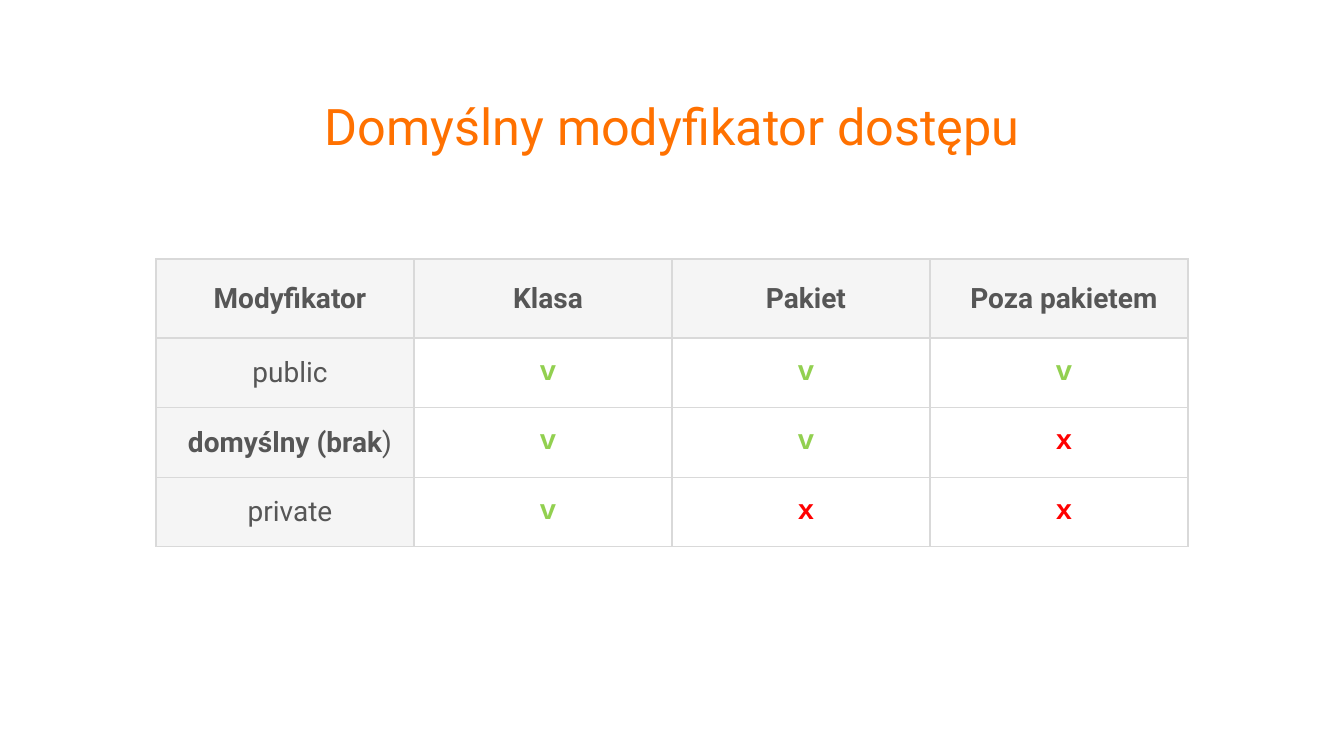
import lxml.etree
import pptx
import pptx.dml.color
import pptx.enum.text
import pptx.oxml.ns
import pptx.util

RGBColor = pptx.dml.color.RGBColor
ORANGE = RGBColor(0xFF, 0x71, 0x00)
DARK_GRAY = RGBColor(0x56, 0x56, 0x56)
LIGHT_GRAY = RGBColor(0xF5, 0xF5, 0xF5)
BORDER_GRAY = RGBColor(0xD9, 0xD9, 0xD9)
WHITE = RGBColor(0xFF, 0xFF, 0xFF)
GREEN = RGBColor(0x92, 0xD0, 0x50)
RED = RGBColor(0xFF, 0x00, 0x00)

MARK_COLORS = {"v": GREEN, "x": RED}
HEADINGS = ["Modyfikator", "Klasa", "Pakiet", "Poza pakietem"]
MODIFIERS = [
    ([("public", False)], "vvv"),
    ([("domyślny (brak", True), (")", False)], "vvx"),
    ([("private", False)], "vxx"),
]


def px(length):
    """Turn a length in px into EMU."""
    return pptx.util.Emu(round(length * 914400 / 100.8))


def add_run(paragraph, text, size, color, font="Roboto", bold=False):
    """Add one styled run to a centred paragraph."""
    paragraph.alignment = pptx.enum.text.PP_ALIGN.CENTER
    run = paragraph.add_run()
    run.text = text
    run.font.name = font
    run.font.size = pptx.util.Pt(size)
    run.font.bold = bold
    run.font.color.rgb = color


def add_title(slide, left, top, width, height):
    """Place the slide title in its box."""
    title = slide.shapes.add_textbox(px(left), px(top), px(width), px(height))
    frame = title.text_frame
    frame.word_wrap = True
    frame.vertical_anchor = pptx.enum.text.MSO_ANCHOR.MIDDLE
    heading = frame.paragraphs[0]
    heading.line_spacing = 0.9
    add_run(heading, "Domyślny modyfikator dostępu", 36, ORANGE)


def add_borders(cell):
    """Draw a thin gray line on all four sides of a cell."""
    properties = cell._tc.get_or_add_tcPr()
    qn = pptx.oxml.ns.qn
    for side in ("a:lnL", "a:lnR", "a:lnT", "a:lnB"):
        line = lxml.etree.SubElement(properties, qn(side), w=str(pptx.util.Pt(1)))
        fill = lxml.etree.SubElement(line, qn("a:solidFill"))
        lxml.etree.SubElement(fill, qn("a:srgbClr"), val=str(BORDER_GRAY))


def format_cell(cell, background):
    """Set the borders, fill, anchor and margins of a cell."""
    add_borders(cell)
    cell.fill.solid()
    cell.fill.fore_color.rgb = background
    cell.vertical_anchor = pptx.enum.text.MSO_ANCHOR.MIDDLE
    cell.margin_left = px(20)
    cell.margin_right = px(10)
    cell.margin_top = cell.margin_bottom = px(5)


def add_access_table(slide, left, top, width, height, header_height):
    """Place the table of access modifiers in its box."""
    rows, columns = len(MODIFIERS) + 1, len(HEADINGS)
    table = slide.shapes.add_table(
        rows, columns, px(left), px(top), px(width), px(height)
    ).table
    table.first_row = table.horz_banding = False
    for column in table.columns:
        column.width = px(width / columns)
    for index, row in enumerate(table.rows):
        row.height = px((height - header_height) / len(MODIFIERS) if index else header_height)
        for position, cell in enumerate(row.cells):
            format_cell(cell, WHITE if index and position else LIGHT_GRAY)

    for position, heading in enumerate(HEADINGS):
        paragraph = table.cell(0, position).text_frame.paragraphs[0]
        add_run(paragraph, heading, 20, DARK_GRAY, bold=True)
    for index, (label, marks) in enumerate(MODIFIERS, 1):
        for text, bold in label:
            paragraph = table.cell(index, 0).text_frame.paragraphs[0]
            add_run(paragraph, text, 20, DARK_GRAY, bold=bold)
        for position, mark in enumerate(marks, 1):
            paragraph = table.cell(index, position).text_frame.paragraphs[0]
            add_run(paragraph, mark, 20, MARK_COLORS[mark], "Courier New", True)


def main():
    """Build the slide and save it."""
    presentation = pptx.Presentation()
    presentation.slide_width = px(1344)
    presentation.slide_height = px(756)
    slide = presentation.slides.add_slide(presentation.slide_layouts[6])
    add_title(slide, 93, 85, 1159, 88)
    add_access_table(slide, 156, 259, 1032, 288, 79)
    presentation.save("out.pptx")


if __name__ == "__main__":
    main()
